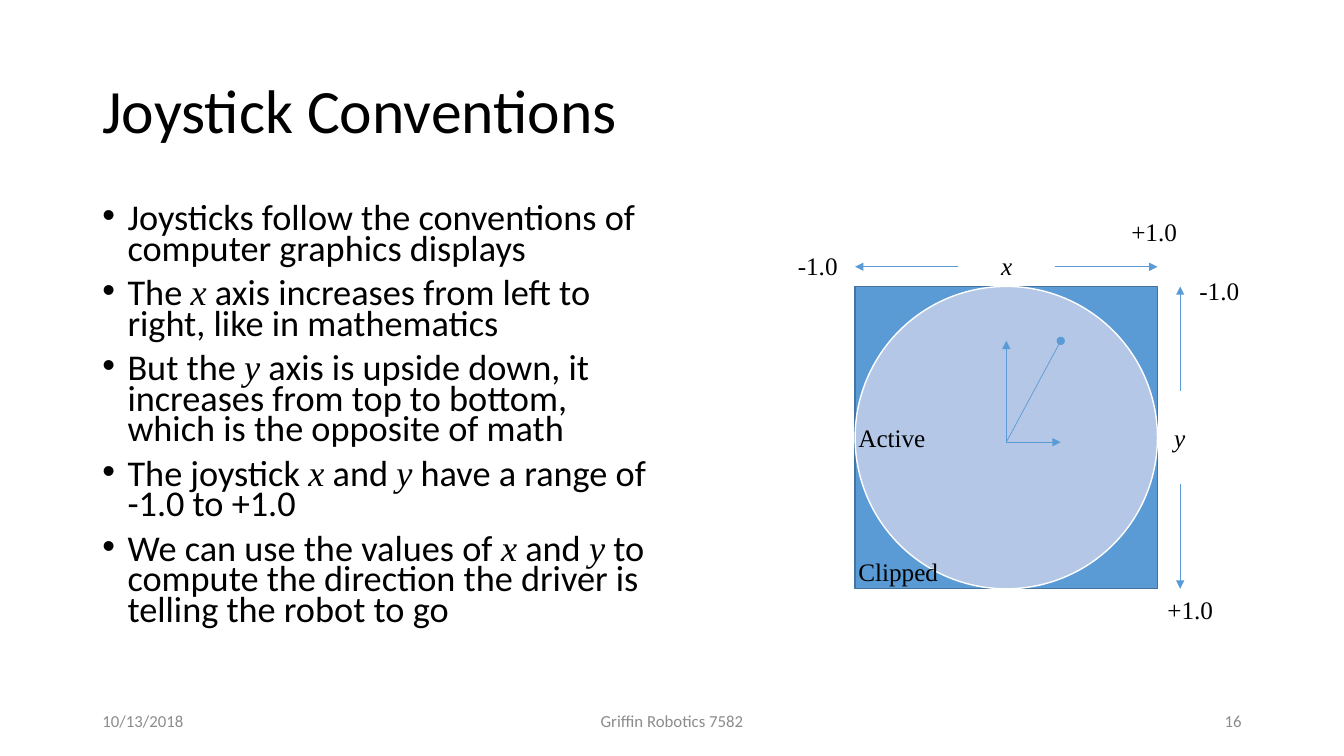
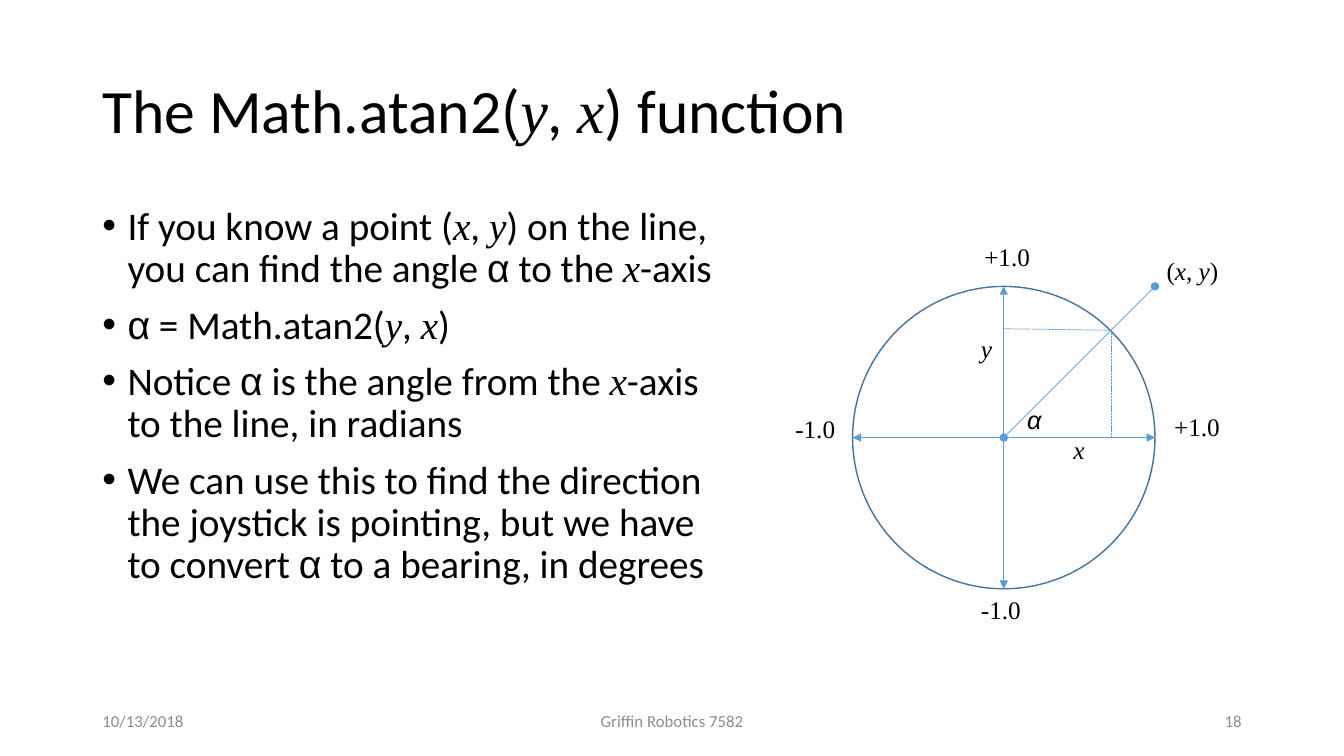
from lxml import etree
from pptx import Presentation
from pptx.dml.color import RGBColor
from pptx.enum.dml import MSO_LINE
from pptx.enum.shapes import MSO_CONNECTOR, MSO_SHAPE
from pptx.enum.text import MSO_ANCHOR, MSO_AUTO_SIZE, PP_ALIGN
from pptx.oxml.ns import qn
from pptx.util import Inches, Pt

LEFT, CENTER, RIGHT = PP_ALIGN.LEFT, PP_ALIGN.CENTER, PP_ALIGN.RIGHT
TOP, MIDDLE = MSO_ANCHOR.TOP, MSO_ANCHOR.MIDDLE
GROW, FIXED = MSO_AUTO_SIZE.SHAPE_TO_FIT_TEXT, MSO_AUTO_SIZE.NONE
RECT, OVAL = MSO_SHAPE.RECTANGLE, MSO_SHAPE.OVAL
STRAIGHT, SYS_DASH = MSO_CONNECTOR.STRAIGHT, MSO_LINE.SQUARE_DOT

SANS, SERIF, GREEK = "Calibri", "Times New Roman", "Arial"
BLACK, GREY, WHITE = "000000", "8C8C8C", "FFFFFF"
BLUE, DARK_BLUE, PALE_BLUE = "5B9BD5", "43739E", "B4C7E7"

COLS, ROWS = 80, 45
WIDTH, HEIGHT = Inches(13.33), Inches(7.5)
MARGIN, CONTENT_W = 5.5, 69
LABEL_H, RADIUS = 2.4, 9
SIGN_W, MINUS_W, LETTER_W = 3.95, 3.6, 1.85

CONVENTIONS = [
    "Joysticks follow the conventions of computer graphics displays",
    "The *x* axis increases from left to right, like in mathematics",
    "But the *y* axis is upside down, it increases from top to bottom, "
    "which is the opposite of math",
    "The joystick *x* and *y* have a range of -1.0 to +1.0",
    "We can use the values of *x* and *y* to compute the direction "
    "the driver is telling the robot to go",
]
ATAN2 = [
    "If you know a point (*x*, *y*) on the line, you can find the angle "
    "*α* to the *x*-axis",
    "*α* = Math.atan2(*y*, *x*)",
    "Notice *α* is the angle from the *x*-axis to the line, in radians",
    "We can use this to find the direction the joystick is pointing, "
    "but we have to convert *α* to a bearing, in degrees",
]


def rgb(hex_color):
    """Turn a hex string into a colour."""
    return RGBColor.from_string(hex_color)


def col(n):
    """Length of n grid columns."""
    return int(WIDTH * n / COLS)


def row(n):
    """Length of n grid rows."""
    return int(HEIGHT * n / ROWS)


def add_bullet(p):
    """Give a paragraph a hanging round bullet."""
    pPr = p._p.get_or_add_pPr()
    pPr.set("marL", str(Inches(0.25)))
    pPr.set("indent", str(-Inches(0.25)))
    etree.SubElement(pPr, qn("a:buFont")).set("typeface", GREEK)
    etree.SubElement(pPr, qn("a:buChar")).set("char", "•")


def add_runs(p, text, size, font, color, italic):
    """Write text whose starred parts are variables."""
    for i, part in enumerate(text.split("*")):
        if not part:
            continue
        r = p.add_run()
        r.text = part
        variable = i % 2 == 1
        greek = part == "α"
        r.font.name = GREEK if greek else SERIF if variable else font
        r.font.italic = italic or (variable and not greek)
        r.font.size = Pt(size)
        r.font.color.rgb = rgb(color)


def add_text(s, paragraphs, x, y, w, h, size=18, font=SANS, color=BLACK,
             italic=False, align=LEFT, anchor=TOP, spacing=None,
             bullets=False, wrap=True):
    """Add a text box placed in grid columns and rows."""
    tf = s.shapes.add_textbox(col(x), row(y), col(w), row(h)).text_frame
    tf.word_wrap = wrap
    tf.auto_size = FIXED if wrap else GROW
    tf.vertical_anchor = anchor
    for i, text in enumerate(paragraphs):
        p = tf.add_paragraph() if i else tf.paragraphs[0]
        if bullets:
            add_bullet(p)
        p.alignment = align
        if spacing:
            p.line_spacing = spacing
        if i:
            p.space_before = Pt(10)
        add_runs(p, text, size, font, color, italic)


def add_labels(s, labels):
    """Add unwrapped diagram labels given as text, column, row and width."""
    for text, x, y, w in labels:
        add_text(s, [text], x, y, w, LABEL_H, font=SERIF, wrap=False,
                 italic=text == "α")


def add_figure(s, kind, center, line, fill=None):
    """Add a shape that spans the joystick range around its center."""
    x, y = center
    sp = s.shapes.add_shape(kind, col(x - RADIUS), row(y - RADIUS),
                            col(2 * RADIUS), row(2 * RADIUS))
    sp.shadow.inherit = False
    sp.line.color.rgb = rgb(line)
    sp.line.width = Pt(1)
    if fill:
        sp.fill.solid()
        sp.fill.fore_color.rgb = rgb(fill)
    else:
        sp.fill.background()


def add_line(s, center, start, end, head=None, tail=None, dash=None):
    """Draw a line between two points in joystick coordinates, y down."""
    (x1, y1), (x2, y2) = [(col(center[0] + RADIUS * x),
                           row(center[1] + RADIUS * y))
                          for x, y in (start, end)]
    line = s.shapes.add_connector(STRAIGHT, x1, y1, x2, y2)
    line.line.color.rgb = rgb(BLUE)
    line.line.width = Pt(0.5)
    if dash:
        line.line.dash_style = dash
    ln = line.line._get_or_add_ln()
    for tag, end_type in (("a:headEnd", head), ("a:tailEnd", tail)):
        if end_type:
            etree.SubElement(ln, qn(tag)).set("type", end_type)
    etree.SubElement(line._element.spPr, qn("a:effectLst"))


def add_page(prs, title, bullets, number, body_w, size, spacing):
    """Add a slide with its title, bullet list and footer."""
    s = prs.slides.add_slide(prs.slide_layouts[6])
    add_text(s, [title], MARGIN, 2.4, CONTENT_W, 8.7, size=44,
             anchor=MIDDLE, spacing=0.9)
    add_text(s, bullets, MARGIN, 12, body_w, 28.5, size=size,
             spacing=spacing, bullets=True)
    for text, x, w, align in (("10/13/2018", MARGIN, 18, LEFT),
                              ("Griffin Robotics 7582", 26.5, 27, CENTER),
                              (number, 56.5, 18, RIGHT)):
        add_text(s, [text], x, 41.7, w, LABEL_H, size=12, color=GREY,
                 align=align, anchor=MIDDLE)
    return s


def draw_range(s):
    """Draw the active circle inside the square joystick range."""
    center = (59.9, 26.05)
    add_figure(s, RECT, center, DARK_BLUE, BLUE)
    add_figure(s, OVAL, center, WHITE, PALE_BLUE)
    for sign in (-1, 1):
        add_line(s, center, (0.32 * sign, -1.13), (sign, -1.13),
                 tail="triangle")
        add_line(s, center, (1.15, 0.31 * sign), (1.15, sign),
                 tail="triangle")
    origin = (0, 0.03)
    for end, tail in (((0.36, -0.64), "oval"), ((0, -0.64), "triangle"),
                      ((0.36, 0.03), "triangle")):
        add_line(s, center, origin, end, tail=tail)
    add_labels(s, [
        ("*x*", 59, 14.6, LETTER_W), ("+1.0", 66.75, 12.6, SIGN_W),
        ("-1.0", 46.9, 14.6, MINUS_W), ("*y*", 69.3, 24.85, LETTER_W),
        ("+1.0", 68.9, 35.1, SIGN_W), ("-1.0", 70.8, 16.1, MINUS_W),
        ("Active", 50.5, 24.85, 5.3), ("Clipped", 50.5, 32.8, 6),
    ])


def draw_angle(s):
    """Draw the unit circle with a point and its angle."""
    center = (59.75, 26.05)
    add_figure(s, OVAL, center, DARK_BLUE)
    for start, end in (((-1, 0), (1, 0)), ((0, -1), (0, 1))):
        add_line(s, center, start, end, head="triangle", tail="triangle")
    add_line(s, center, (0, 0), (1, -1), head="oval", tail="oval")
    for end in ((0, -0.72), (0.71, 0)):
        add_line(s, center, (0.71, -0.71), end, dash=SYS_DASH)
    add_labels(s, [
        ("+1.0", 69.3, 24.2, SIGN_W), ("-1.0", 46.75, 24.3, MINUS_W),
        ("+1.0", 58, 14.05, SIGN_W), ("-1.0", 57.8, 35.1, MINUS_W),
        ("*y*", 57.8, 19.55, LETTER_W), ("*x*", 63.3, 25.55, LETTER_W),
        ("α", 60.55, 23.75, 2.15), ("(*x*,* y*)", 68.85, 14.9, 4.4),
    ])


def main():
    """Build and save the presentation."""
    prs = Presentation()
    prs.slide_width, prs.slide_height = WIDTH, HEIGHT
    draw_range(add_page(prs, "Joystick Conventions", CONVENTIONS, "16",
                        body_w=34.5, size=25.9, spacing=0.7))
    draw_angle(add_page(prs, "The Math.atan2(*y*, *x*) function", ATAN2, "18",
                        body_w=38.9, size=28, spacing=0.9))
    prs.save("out.pptx")


if __name__ == "__main__":
    main()
